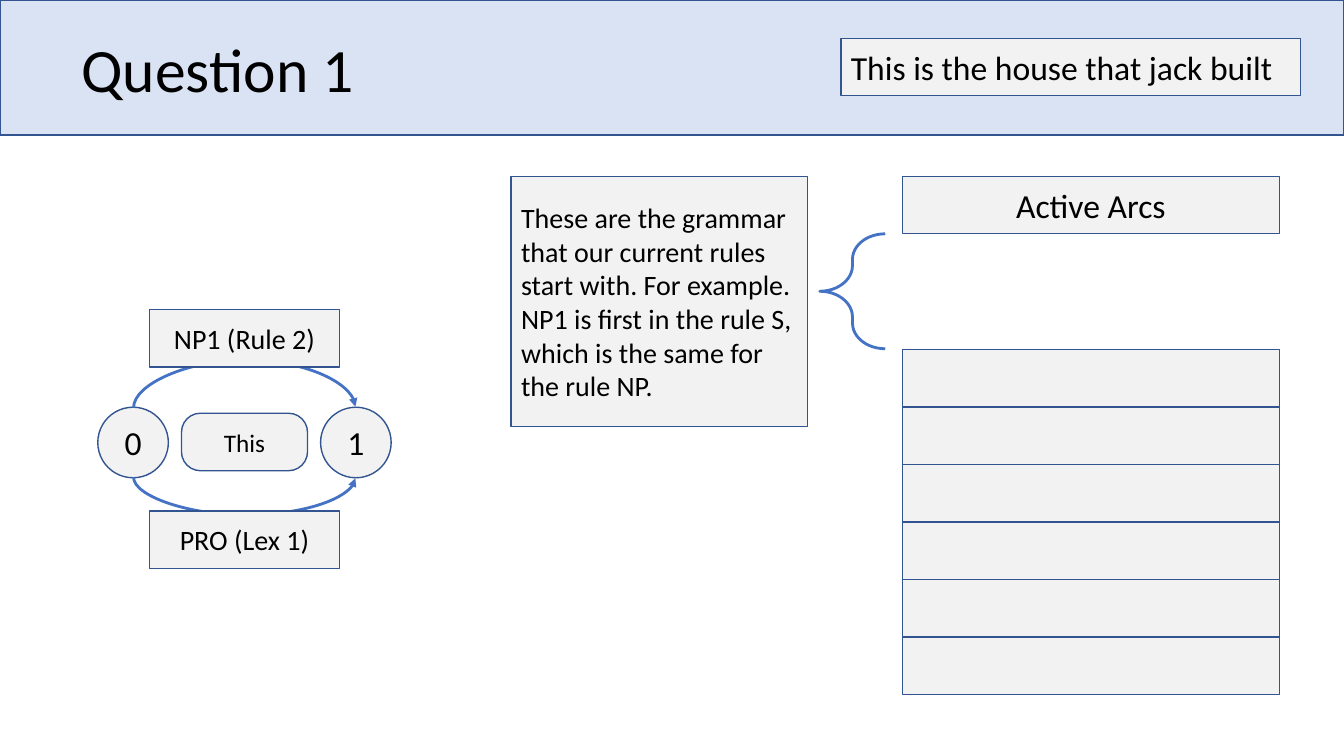
"""Build the Question 1 slide: a parse arc between two nodes and an active-arc list."""
from lxml.etree import SubElement
from pptx import Presentation
from pptx.dml.color import RGBColor
from pptx.enum.shapes import MSO_CONNECTOR, MSO_SHAPE
from pptx.enum.text import MSO_ANCHOR, PP_ALIGN
from pptx.oxml.ns import qn
from pptx.util import Inches, Pt

BLACK = RGBColor(0x00, 0x00, 0x00)
BANNER_BLUE = RGBColor(0xDA, 0xE3, 0xF3)
PALE_GREY = RGBColor(0xF2, 0xF2, 0xF2)
OUTLINE_BLUE = RGBColor(0x32, 0x54, 0x91)
ARC_BLUE = RGBColor(0x44, 0x72, 0xC4)
ROW_HEIGHT = 0.57

deck = Presentation()
deck.slide_width, deck.slide_height = Inches(13.33), Inches(7.5)
page = deck.slides.add_slide(deck.slide_layouts[6])


def write(box, text, size, align):
    frame = box.text_frame
    frame.word_wrap = True
    frame.vertical_anchor = MSO_ANCHOR.MIDDLE
    para = frame.paragraphs[0]
    para.text = text
    para.alignment = align
    para.font.name = "Calibri"
    para.font.size = Pt(size)
    para.font.color.rgb = BLACK
    return para


def add_box(kind, left, top, width, height, text="", size=24,
            align=PP_ALIGN.CENTER, fill=PALE_GREY):
    box = page.shapes.add_shape(
        kind, Inches(left), Inches(top), Inches(width), Inches(height))
    box.shadow.inherit = False
    box.fill.solid()
    box.fill.fore_color.rgb = fill
    box.line.color.rgb = OUTLINE_BLUE
    box.line.width = Pt(1)
    if text:
        write(box, text, size, align)
    return box


add_box(MSO_SHAPE.RECTANGLE, 0, 0, 13.33, 1.34, fill=BANNER_BLUE)
title = page.shapes.add_textbox(Inches(0.71), Inches(-0.01), Inches(11.5), Inches(1.45))
write(title, "Question 1", 44, PP_ALIGN.LEFT).line_spacing = 0.9
add_box(MSO_SHAPE.RECTANGLE, 8.34, 0.38, 4.56, ROW_HEIGHT,
        "This is the house that jack built", align=PP_ALIGN.LEFT)

add_box(MSO_SHAPE.RECTANGLE, 8.95, 1.75, 3.74, ROW_HEIGHT, "Active Arcs")
for row in range(6):
    add_box(MSO_SHAPE.RECTANGLE, 8.95, 3.47 + row * ROW_HEIGHT, 3.74, ROW_HEIGHT)

for left, node in ((0.97, "0"), (3.18, "1")):
    add_box(MSO_SHAPE.OVAL, left, 4.04, 0.7, 0.7, node)
word = add_box(MSO_SHAPE.ROUNDED_RECTANGLE, 1.8, 4.1, 1.25, ROW_HEIGHT, "This", 18)
word.adjustments[0] = 0.33

for begin_y, end_y, turn, bulge in ((5.14, 2.94, 90, 48), (3.64, 5.84, 270, 38)):
    arc = page.shapes.add_connector(
        MSO_CONNECTOR.CURVE, Inches(2.43), Inches(begin_y), Inches(2.42), Inches(end_y))
    arc.line.color.rgb = ARC_BLUE
    arc.line.width = Pt(2)
    properties = arc._element.spPr
    properties.find(qn("a:xfrm")).set("rot", str(turn * 60000))
    geometry = properties.find(qn("a:prstGeom"))
    guides = geometry.find(qn("a:avLst"))
    if guides is None:
        guides = SubElement(geometry, qn("a:avLst"))
    SubElement(guides, qn("a:gd"), name="adj1", fmla=f"val {bulge * 100000}")
    SubElement(properties.find(qn("a:ln")), qn("a:tailEnd"), type="triangle")
    SubElement(properties, qn("a:effectLst"))

for top, label in ((3.07, "NP1 (Rule 2)"), (5.07, "PRO (Lex 1)")):
    add_box(MSO_SHAPE.RECTANGLE, 1.48, top, 1.89, ROW_HEIGHT, label, 20)

add_box(MSO_SHAPE.RECTANGLE, 5.07, 1.75, 2.94, 2.48,
        "These are the grammar that our current rules start with. For example. "
        "NP1 is first in the rule S, which is the same for the rule NP.",
        20, PP_ALIGN.LEFT)
brace = add_box(MSO_SHAPE.LEFT_BRACE, 8.13, 2.32, 0.65, 1.14)
brace.adjustments[0] = 0.39
brace.fill.background()
brace.line.color.rgb = ARC_BLUE
brace.line.width = Pt(2)

deck.save("out.pptx")
